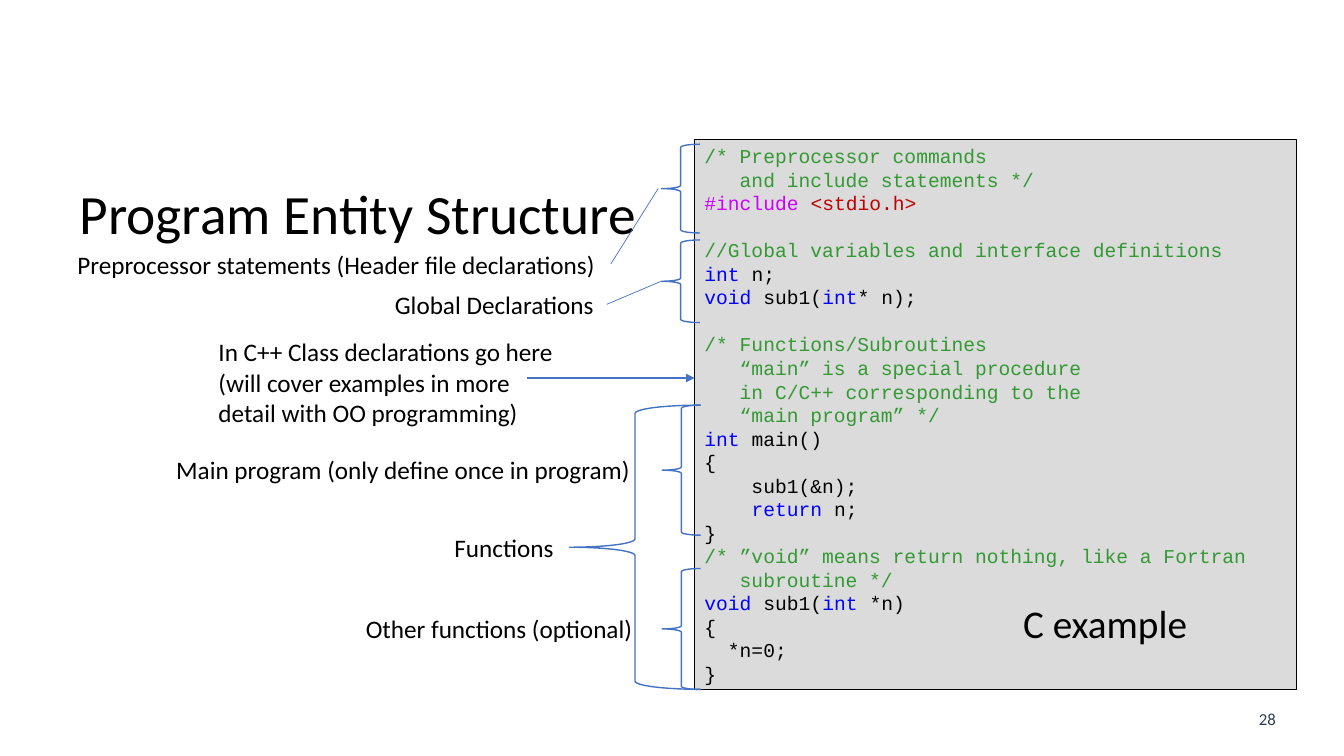
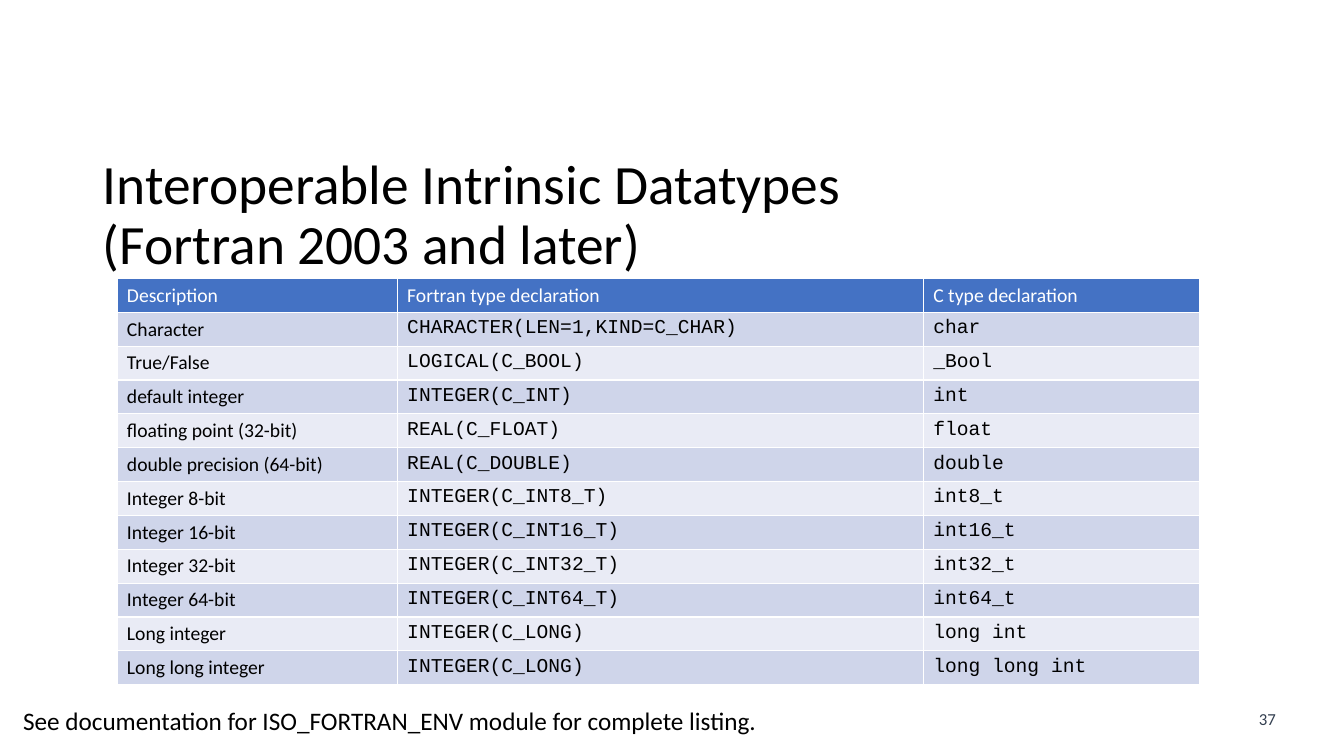
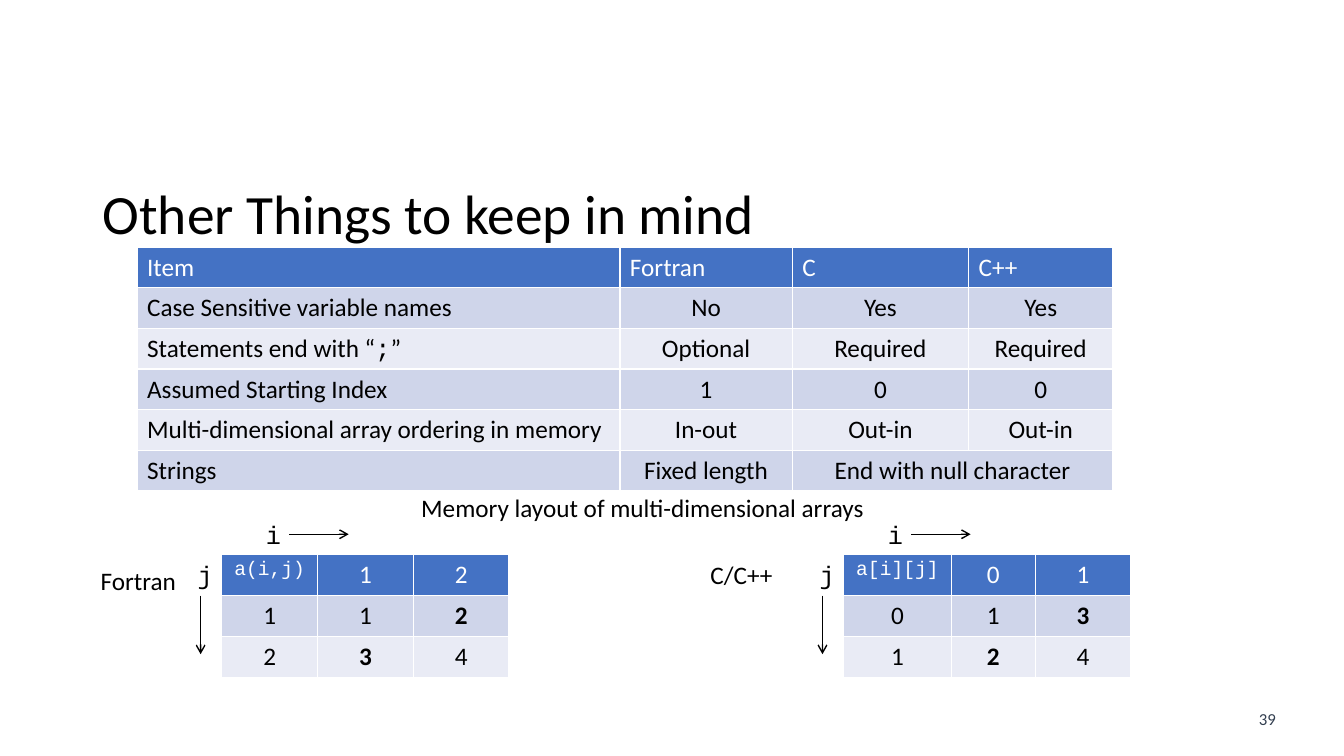
from dataclasses import dataclass
from typing import NamedTuple, Optional, Sequence, Union

from lxml import etree
from pptx import Presentation
from pptx.dml.color import RGBColor
from pptx.enum.shapes import MSO_CONNECTOR, MSO_SHAPE
from pptx.enum.text import MSO_ANCHOR, MSO_AUTO_SIZE, PP_ALIGN
from pptx.oxml.ns import qn
from pptx.shapes.autoshape import Shape
from pptx.slide import Slide
from pptx.text.text import TextFrame
from pptx.util import Pt

LEFT, CENTER = PP_ALIGN.LEFT, PP_ALIGN.CENTER
TOP, MIDDLE = MSO_ANCHOR.TOP, MSO_ANCHOR.MIDDLE
FIXED_SIZE, FIT_TEXT = MSO_AUTO_SIZE.NONE, MSO_AUTO_SIZE.SHAPE_TO_FIT_TEXT
STRAIGHT = MSO_CONNECTOR.STRAIGHT
RECTANGLE, LEFT_BRACE = MSO_SHAPE.RECTANGLE, MSO_SHAPE.LEFT_BRACE

SANS, MONO = "Calibri", "Courier New"
COLORS = {
    "text": "000000",
    "white": "FFFFFF",
    "number": "333F50",
    "accent": "4472C4",
    "band_dark": "CFD5EA",
    "band_light": "E9EBF5",
    "code_fill": "DBDBDB",
    "comment": "339933",
    "directive": "CC00FF",
    "header_file": "C00000",
    "keyword": "0000FF",
}
TITLE_ONLY_LAYOUT, CONTENT_LAYOUT = 5, 1


class Run(NamedTuple):
    text: str
    color: str = "text"
    font: str = SANS
    bold: bool = False


Content = Union[str, Run, Sequence[Run]]


class Box(NamedTuple):
    left: float
    top: float
    width: float
    height: float


class Label(NamedTuple):
    box: Box
    paragraphs: Sequence[Content]


class Brace(NamedTuple):
    box: Box
    curl: float = 0.0833


class Line(NamedTuple):
    start: tuple[float, float]
    end: tuple[float, float]
    color: str = "accent"
    width: float = 1
    arrowhead: Optional[str] = None


@dataclass(frozen=True)
class Grid:
    left: float
    top: float
    column_widths: Sequence[float]
    row_height: float
    rows: Sequence[Sequence[Content]]
    size: float = 18
    header_align: PP_ALIGN = LEFT
    first_align: PP_ALIGN = LEFT
    other_align: PP_ALIGN = LEFT


@dataclass(frozen=True)
class MemoryLayout:
    left: float
    column_widths: Sequence[float]
    rows: Sequence[Sequence[Content]]
    language: str
    language_box: Box


def code(text: str, color: str = "text") -> Run:
    return Run(text, color, MONO)


def rgb(name: str) -> RGBColor:
    return RGBColor.from_string(COLORS[name])


def points(box: Box) -> list[int]:
    return [Pt(length) for length in box]


def write_text(frame: TextFrame, paragraphs: Sequence[Content], size: float,
               align: PP_ALIGN = LEFT, line_spacing: Optional[float] = None,
               color: Optional[str] = None) -> None:
    """Fill a frame run by run; a newline inside a run becomes a line break."""
    for number, content in enumerate(paragraphs):
        paragraph = frame.add_paragraph() if number else frame.paragraphs[0]
        paragraph.alignment = align
        if line_spacing is not None:
            paragraph.line_spacing = line_spacing
        if isinstance(content, str):
            content = Run(content)
        runs = [content] if isinstance(content, Run) else content
        for source in runs:
            for index, text in enumerate(source.text.split("\n")):
                if index:
                    paragraph.add_line_break()
                run = paragraph.add_run()
                run.text = text
                run.font.name = source.font
                run.font.size = Pt(size)
                run.font.bold = source.bold
                run.font.color.rgb = rgb(color or source.color)


def add_label(slide: Slide, label: Label) -> None:
    shape = slide.shapes.add_textbox(*points(label.box))
    shape.text_frame.word_wrap = False
    shape.text_frame.auto_size = FIT_TEXT
    write_text(shape.text_frame, label.paragraphs, 18)


def add_brace(slide: Slide, brace: Brace) -> None:
    shape = slide.shapes.add_shape(LEFT_BRACE, *points(brace.box))
    shape.adjustments[0] = brace.curl
    shape.shadow.inherit = False
    shape.fill.background()
    shape.line.color.rgb = rgb("accent")
    shape.line.width = Pt(1)


def add_line(slide: Slide, line: Line) -> None:
    ends = [Pt(value) for value in (*line.start, *line.end)]
    connector = slide.shapes.add_connector(STRAIGHT, *ends)
    connector.line.color.rgb = rgb(line.color)
    connector.line.width = Pt(line.width)
    if line.arrowhead:
        outline = connector.get_or_add_ln()
        etree.SubElement(outline, qn("a:tailEnd"), type=line.arrowhead)
    etree.SubElement(connector._element.spPr, qn("a:effectLst"))


def add_grid(slide: Slide, grid: Grid) -> None:
    box = Box(grid.left, grid.top, sum(grid.column_widths),
              grid.row_height * len(grid.rows))
    table = slide.shapes.add_table(
        len(grid.rows), len(grid.column_widths), *points(box)).table
    for column, width in zip(table.columns, grid.column_widths):
        column.width = Pt(width)
    for row_index, row in enumerate(grid.rows):
        table.rows[row_index].height = Pt(grid.row_height)
        band = "band_dark" if row_index % 2 else "band_light"
        for column_index in range(len(grid.column_widths)):
            cell = table.cell(row_index, column_index)
            cell.fill.solid()
            cell.fill.fore_color.rgb = rgb(band if row_index else "accent")
            if column_index >= len(row):
                table.cell(row_index, len(row) - 1).merge(cell)
                continue
            align = grid.other_align if column_index else grid.first_align
            write_text(cell.text_frame, [row[column_index]], grid.size,
                       align if row_index else grid.header_align,
                       color=None if row_index else "white")


def add_code_box(slide: Slide, box: Box, lines: Sequence[Sequence[Run]]) -> None:
    shape = slide.shapes.add_shape(RECTANGLE, *points(box))
    shape.shadow.inherit = False
    shape.fill.solid()
    shape.fill.fore_color.rgb = rgb("code_fill")
    shape.line.color.rgb = rgb("text")
    shape.line.width = Pt(0.75)
    shape.text_frame.vertical_anchor = TOP
    write_text(shape.text_frame, lines, 14, line_spacing=Pt(16.8))


def fill_placeholder(shape: Shape, box: Box, text: str, size: float,
                     anchor: MSO_ANCHOR, line_spacing: float) -> None:
    shape.left, shape.top, shape.width, shape.height = points(box)
    frame = shape.text_frame
    frame.word_wrap = True
    frame.auto_size = FIXED_SIZE
    frame.vertical_anchor = anchor
    write_text(frame, [text], size, line_spacing=line_spacing)


def add_slide(presentation: Presentation, title: str, number: int,
              title_left: float = 66.2, layout: int = TITLE_ONLY_LAYOUT) -> Slide:
    """Add a slide with the shared title style and slide number."""
    slide = presentation.slides.add_slide(presentation.slide_layouts[layout])
    fill_placeholder(slide.shapes.title, Box(title_left, 129.6, 828, 50.4),
                     title, 39.6, MIDDLE, 0.9)
    number_box = slide.shapes.add_textbox(*points(Box(888.5, 502.6, 33.8, 21.6)))
    number_box.text_frame.word_wrap = True
    write_text(number_box.text_frame, [Run(str(number), "number")], 12, CENTER)
    return slide


CODE_LINES = [
    [code("/* Preprocessor commands", "comment")],
    [code("   and include statements */", "comment")],
    [code("#include ", "directive"), code("<stdio.h>", "header_file")],
    [],
    [code("//Global variables and interface definitions", "comment")],
    [code("int ", "keyword"), code("n;")],
    [code("void ", "keyword"), code("sub1("), code("int", "keyword"), code("* n);")],
    [],
    [code("/* Functions/Subroutines", "comment")],
    [code("   “main” is a special procedure", "comment")],
    [code("   in C/C++ corresponding to the", "comment")],
    [code("   “main program” */", "comment")],
    [code("int", "keyword"), code(" main()")],
    [code("{")],
    [code("    sub1(&n);")],
    [code("    "), code("return", "keyword"), code(" n;")],
    [code("}")],
    [code("/* ”void” means return nothing, like a Fortran", "comment")],
    [code("   subroutine */", "comment")],
    [code("void ", "keyword"), code("sub1("), code("int", "keyword"), code(" *n)")],
    [code("{")],
    [code("  *n=0;")],
    [code("}")],
]

STRUCTURE_LABELS = [
    Label(Box(48.2, 174.2, 388.8, 29), ["Preprocessor statements (Header file declarations)"]),
    Label(Box(275, 203.4, 158.4, 29), ["Global Declarations"]),
    Label(Box(149, 236.9, 257, 72.7), [
        "In C++ Class declarations go here",
        "(will cover examples in more\ndetail with OO programming)"]),
    Label(Box(118.8, 321.1, 342.7, 29), ["Main program (only define once in program)"]),
    Label(Box(317.5, 376.6, 86.4, 29), ["Functions"]),
    Label(Box(254.2, 434.2, 207.4, 29), ["Other functions (optional)"]),
]

STRUCTURE_BRACES = [
    Brace(Box(472.5, 103, 27.4, 63.4)),
    Brace(Box(472.5, 171.4, 27.4, 59)),
    Brace(Box(473, 289.4, 27.4, 92.9)),
    Brace(Box(406.8, 289.4, 93.6, 203), 0.063),
    Brace(Box(473, 406.1, 27.4, 86.4)),
]

STRUCTURE_LINES = [
    Line((376.6, 270), (496.1, 270), arrowhead="triangle"),
    Line((470.2, 134.6), (436.3, 188.6), width=0.5),
    Line((472.3, 200.9), (433.4, 217.4), width=0.5),
]

DATATYPES = [
    ("Character", "CHARACTER(LEN=1,KIND=C_CHAR)", "char"),
    ("True/False", "LOGICAL(C_BOOL)", "_Bool"),
    ("default integer", "INTEGER(C_INT)", "int"),
    ("floating point (32-bit)", "REAL(C_FLOAT)", "float"),
    ("double precision (64-bit)", "REAL(C_DOUBLE)", "double"),
    *((f"Integer {bits}-bit", f"INTEGER(C_INT{bits}_T)", f"int{bits}_t")
      for bits in (8, 16, 32, 64)),
    ("Long integer", "INTEGER(C_LONG)", "long int"),
    ("Long long integer", "INTEGER(C_LONG)", "long long int"),
]

LANGUAGE_DIFFERENCES = [
    ("Item", "Fortran", "C", "C++"),
    ("Case Sensitive variable names", "No", "Yes", "Yes"),
    ((Run("Statements end with “"), code(";"), Run("”")),
     "Optional", "Required", "Required"),
    ("Assumed Starting Index", "1", "0", "0"),
    ("Multi-dimensional array ordering in memory", "In-out", "Out-in", "Out-in"),
    ("Strings", "Fixed length", "End with null character"),
]

MEMORY_TOP = 396
MEMORY_LAYOUTS = [
    MemoryLayout(158.4, (68.4, 68.4, 68.4), [
        ("", "1", "2"),
        ("1", "1", Run("2", bold=True)),
        ("2", Run("3", bold=True), "4"),
    ], "Fortran", Box(64.8, 400.3, 69.1, 29)),
    MemoryLayout(602.6, (77, 59.8, 68.4), [
        ("", "0", "1"),
        ("0", "1", Run("3", bold=True)),
        ("1", Run("2", bold=True), "4"),
    ], "C/C++", Box(500.4, 396, 59, 29)),
]
ARRAY_NAMES = {"Fortran": "a(i,j)", "C/C++": "a[i][j]"}


def add_memory_layout(slide: Slide, layout: MemoryLayout) -> None:
    left = layout.left
    add_grid(slide, Grid(left, MEMORY_TOP, layout.column_widths, 29.3, layout.rows,
                         header_align=CENTER, first_align=CENTER, other_align=CENTER))
    corner = slide.shapes[-1].table.cell(0, 0).text_frame
    corner.clear()
    for run in list(corner.paragraphs[0].runs):
        corner.paragraphs[0]._p.remove(run._r)
    write_text(corner, [code(ARRAY_NAMES[layout.language], "white")], 14, CENTER)
    add_label(slide, Label(Box(left + 24.5, 367.2, 25.2, 29), [code("i")]))
    add_label(slide, Label(Box(left - 24.3, MEMORY_TOP, 25.2, 29), [code("j")]))
    add_line(slide, Line((left + 48.2, 381.6), (left + 90.7, 381.6), "text",
                         arrowhead="arrow"))
    add_line(slide, Line((left - 15.1, 425.5), (left - 15.1, 467.3), "text",
                         arrowhead="arrow"))
    add_label(slide, Label(layout.language_box, [layout.language]))


def build_structure_slide(presentation: Presentation) -> None:
    slide = add_slide(presentation, "Program Entity Structure", 28, 49.7, CONTENT_LAYOUT)
    add_code_box(slide, Box(496.1, 99.4, 429.8, 393.1), CODE_LINES)
    for brace in STRUCTURE_BRACES:
        add_brace(slide, brace)
    for label in STRUCTURE_LABELS:
        add_label(slide, label)
    for line in STRUCTURE_LINES:
        add_line(slide, line)
    caption = slide.placeholders[1]
    properties = caption.text_frame.paragraphs[0]._p.get_or_add_pPr()
    properties.set("marL", "0")
    properties.set("indent", "0")
    etree.SubElement(properties, qn("a:buNone"))
    fill_placeholder(caption, Box(723.6, 431.3, 228.2, 35.3), "C example", 28, TOP, 0.8)
    caption.text_frame.paragraphs[0].space_before = Pt(0)
    slide.shapes._spTree.append(caption._element)


def build_datatypes_slide(presentation: Presentation) -> None:
    slide = add_slide(
        presentation, "Interoperable Intrinsic Datatypes\n(Fortran 2003 and later)", 37)
    rows = [("Description", "Fortran type declaration", "C type declaration")]
    rows += [(name, code(fortran), code(c_type)) for name, fortran, c_type in DATATYPES]
    add_grid(slide, Grid(83.5, 198.9, (200.2, 375.8, 197.3), 24.2, rows, 14))
    add_label(slide, Label(Box(9.4, 500.4, 548.6, 29), [
        "See documentation for ISO_FORTRAN_ENV module for complete listing."]))


def build_differences_slide(presentation: Presentation) -> None:
    slide = add_slide(presentation, "Other Things to keep in mind", 39)
    add_grid(slide, Grid(97.9, 176.6, (344.9, 123.1, 126, 103), 29,
                         LANGUAGE_DIFFERENCES, other_align=CENTER))
    for layout in MEMORY_LAYOUTS:
        add_memory_layout(slide, layout)
    add_label(slide, Label(Box(293.8, 347.8, 334.1, 29), [
        "Memory layout of multi-dimensional arrays"]))


def main() -> None:
    presentation = Presentation()
    presentation.slide_width, presentation.slide_height = Pt(960), Pt(540)
    build_structure_slide(presentation)
    build_datatypes_slide(presentation)
    build_differences_slide(presentation)
    presentation.save("out.pptx")


if __name__ == "__main__":
    main()
